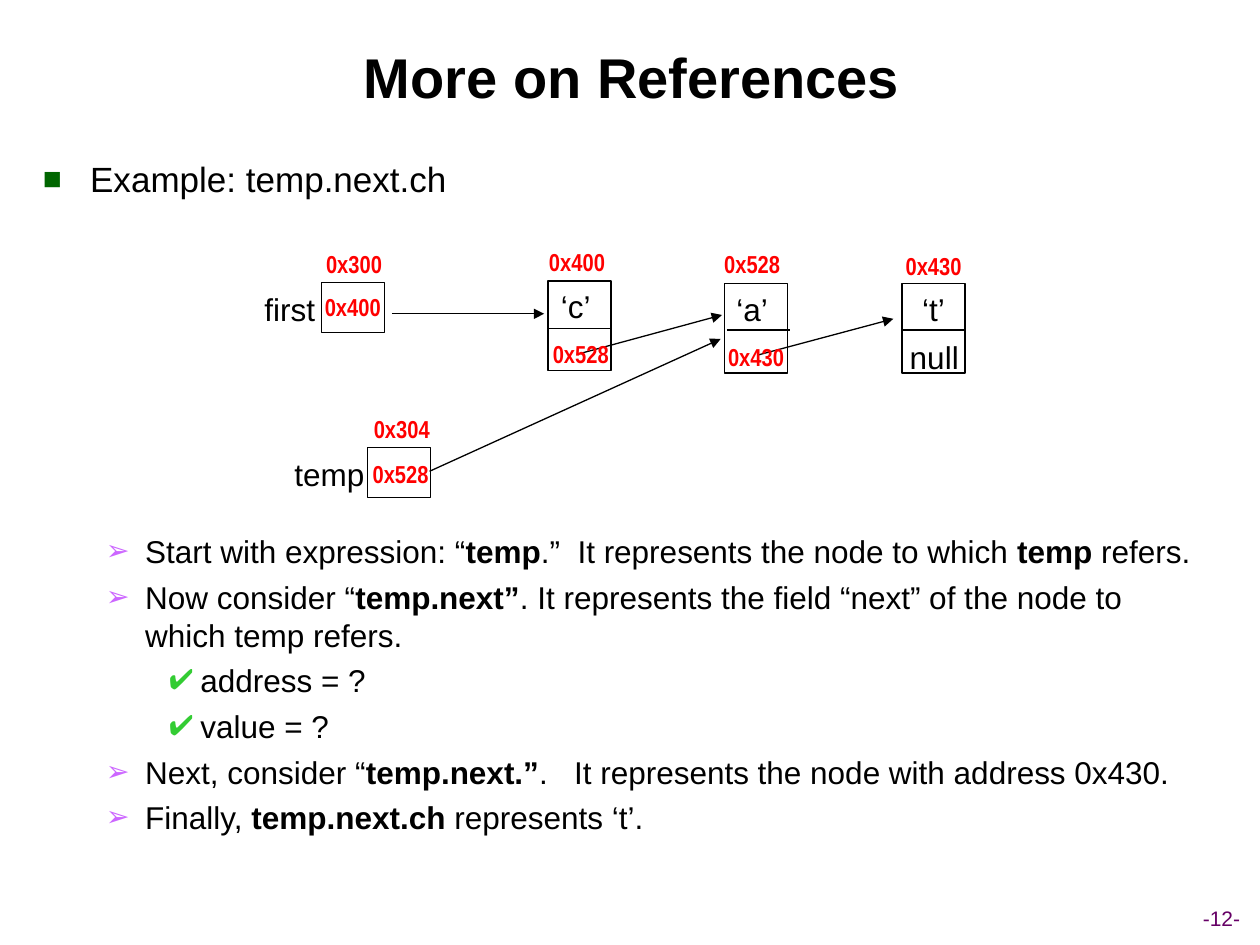
from lxml import etree
from pptx import Presentation
from pptx.dml.color import RGBColor
from pptx.enum.shapes import MSO_CONNECTOR, MSO_SHAPE
from pptx.enum.text import MSO_ANCHOR, MSO_AUTO_SIZE, PP_ALIGN
from pptx.oxml.ns import qn
from pptx.util import Pt

RECT = MSO_SHAPE.RECTANGLE
LINE = MSO_CONNECTOR.STRAIGHT
CENTER = PP_ALIGN.CENTER
TOP = MSO_ANCHOR.TOP
MIDDLE = MSO_ANCHOR.MIDDLE
FIXED = MSO_AUTO_SIZE.NONE

THEME = {
    "title": ("Arial", 32, "000000", True),
    "head": ("Arial", 20, "000000", False),
    "text": ("Arial", 18, "000000", False),
    "strong": ("Arial", 18, "000000", True),
    "code": ("Arial Narrow", 14, "FF0000", True),
    "page": ("Arial", 12, "660066", False),
    "line": "000000",
    "marks": [("■", "006600"), ("➢", "CC66FF"), ("✔", "33CC33")],
}


def style(run, kind):
    name, size, color, bold = THEME[kind]
    run.font.name = name
    run.font.size = Pt(size)
    run.font.color.rgb = RGBColor.from_string(color)
    run.font.bold = bold


def label(shape, text, kind, anchor=TOP):
    frame = shape.text_frame
    frame.text = text
    frame.word_wrap = False
    frame.auto_size = FIXED
    frame.vertical_anchor = anchor
    frame.paragraphs[0].alignment = CENTER
    style(frame.paragraphs[0].runs[0], kind)


deck = Presentation()
deck.slide_width, deck.slide_height = Pt(720), Pt(540)
slide = deck.slides.add_slide(deck.slide_layouts[1])
shapes = slide.shapes

title = shapes.title
title.left, title.top, title.width, title.height = Pt(27.4), Pt(9.4), Pt(667.4), Pt(68.4)
label(title, "More on References", "title", MIDDLE)

body = slide.placeholders[1]
body.left, body.top, body.width, body.height = Pt(17.3), Pt(86.4), Pt(678.2), Pt(402.5)
frame = body.text_frame
frame.auto_size = FIXED
frame.vertical_anchor = TOP

indents = [(27, -27), (58.5, -22.5), (90, -18)]
items = [
    (0, 5, ["Example: temp.next.ch"]),
    (1, 190, ["Start with expression: “", "temp", ".”  It represents the node to which ",
              "temp", " refers."]),
    (1, 4.5, ["Now consider “", "temp.next”",
              ". It represents the field “next” of the node to which temp refers."]),
    (2, 4.5, ["address = ?"]),
    (2, 4.5, ["value = ?"]),
    (1, 4.5, ["Next, consider “", "temp.next.”",
              ".   It represents the node with address 0x430."]),
    (1, 4.5, ["Finally, ", "temp.next.ch ", "represents ‘t’."]),
]
for row, (level, gap, parts) in enumerate(items):
    para = frame.add_paragraph() if row else frame.paragraphs[0]
    para.level = level
    para.space_before = Pt(gap)
    for spot, part in enumerate(parts):
        run = para.add_run()
        run.text = part
        style(run, "strong" if spot % 2 else "text" if level else "head")
    left, hang = indents[level]
    mark, color = THEME["marks"][level]
    props = para._p.get_or_add_pPr()
    props.set("marL", str(Pt(left)))
    props.set("indent", str(Pt(hang)))
    tint = etree.SubElement(props, qn("a:buClr"))
    etree.SubElement(tint, qn("a:srgbClr"), val=color)
    etree.SubElement(props, qn("a:buSzPct"), val="90000")
    etree.SubElement(props, qn("a:buFont"), typeface="Arial")
    etree.SubElement(props, qn("a:buChar"), char=mark)

links = [
    (223.9, 179.3, 311, 179.3, True),
    (330.5, 202.3, 412.6, 180, True),
    (432.7, 203, 510.5, 182.2, True),
    (245.5, 269.3, 411.8, 193.7, True),
    (313.9, 187.9, 349.9, 187.9, False),
    (415.4, 188.6, 451.4, 188.6, False),
    (515.5, 188.6, 551.5, 188.6, False),
]
for x1, y1, x2, y2, arrow in links:
    link = shapes.add_connector(LINE, Pt(x1), Pt(y1), Pt(x2), Pt(y2))
    link.line.color.rgb = RGBColor.from_string(THEME["line"])
    link.line.width = Pt(0.75)
    if arrow:
        etree.SubElement(link.line._get_or_add_ln(), qn("a:tailEnd"), type="triangle")
    etree.SubElement(link._element.spPr, qn("a:effectLst"))

boxes = [
    (313.2, 160.6, 51.1, "‘c’ "),
    (414, 162, 51.1, "‘a’ "),
    (515.5, 162, 51.1, "‘t’"),
    (183.6, 161.3, 28.8, ""),
    (210.2, 255.6, 28.8, ""),
]
for x, y, high, text in boxes:
    box = shapes.add_shape(RECT, Pt(x), Pt(y), Pt(36), Pt(high))
    box.shadow.inherit = False
    box.fill.background()
    box.line.color.rgb = RGBColor.from_string(THEME["line"])
    box.line.width = Pt(0.75)
    if text:
        label(box, text, "text")

notes = [
    (144, 162, 43.2, 28.8, "first", "text"),
    (161.3, 256.3, 54, 28.8, "temp", "text"),
    (512.6, 189.4, 42.5, 28.8, "null", "text"),
    (659.5, 514.1, 77, 21.6, "-12-", "page"),
]
codes = [
    (179.3, 139, "0x300"), (178.6, 163.4, "0x400"),
    (306.7, 137.5, "0x400"), (308.9, 190.1, "0x528"),
    (406.8, 139, "0x528"), (409, 192.2, "0x430"),
    (510.5, 139.7, "0x430"),
    (206.6, 233.3, "0x304"), (205.9, 258.5, "0x528"),
]
notes += [(x, y, 46.1, 24.5, text, "code") for x, y, text in codes]
for x, y, wide, high, text, kind in notes:
    note = shapes.add_textbox(Pt(x), Pt(y), Pt(wide), Pt(high))
    label(note, text, kind, MIDDLE if kind == "page" else TOP)

deck.save("out.pptx")
